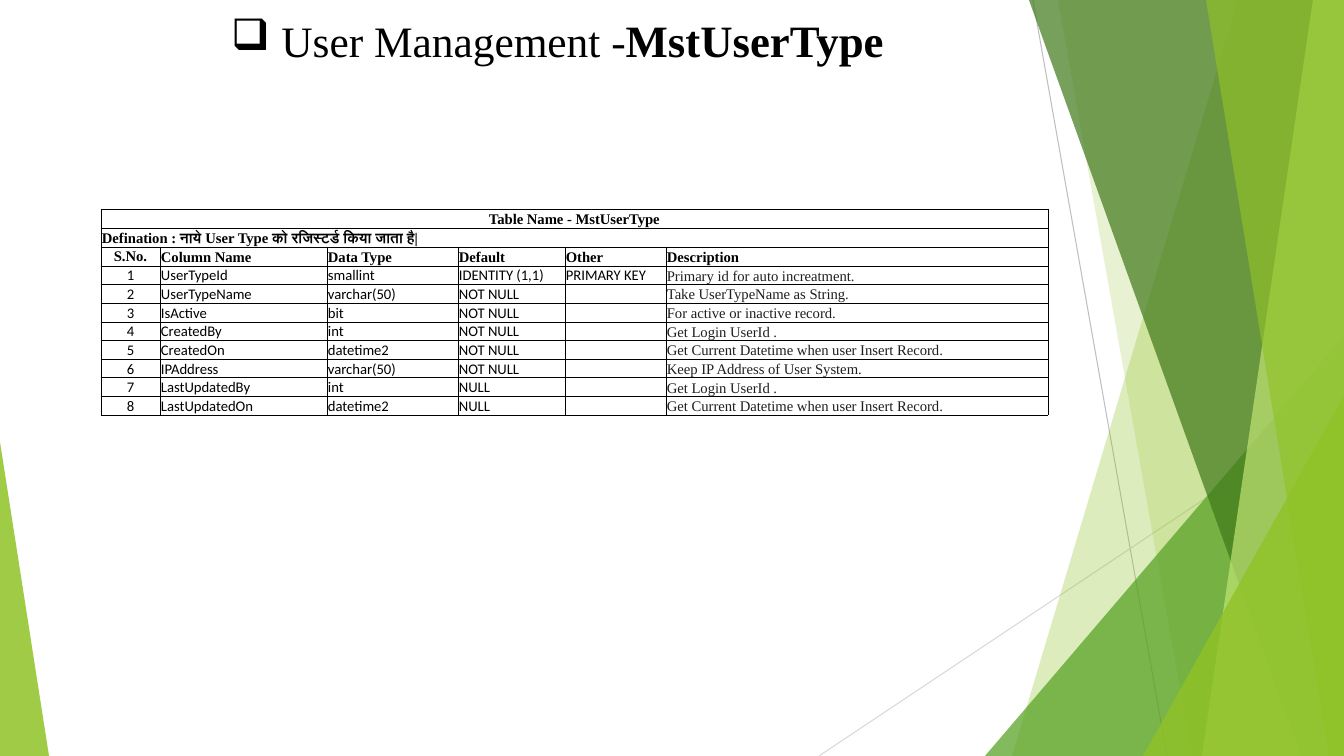
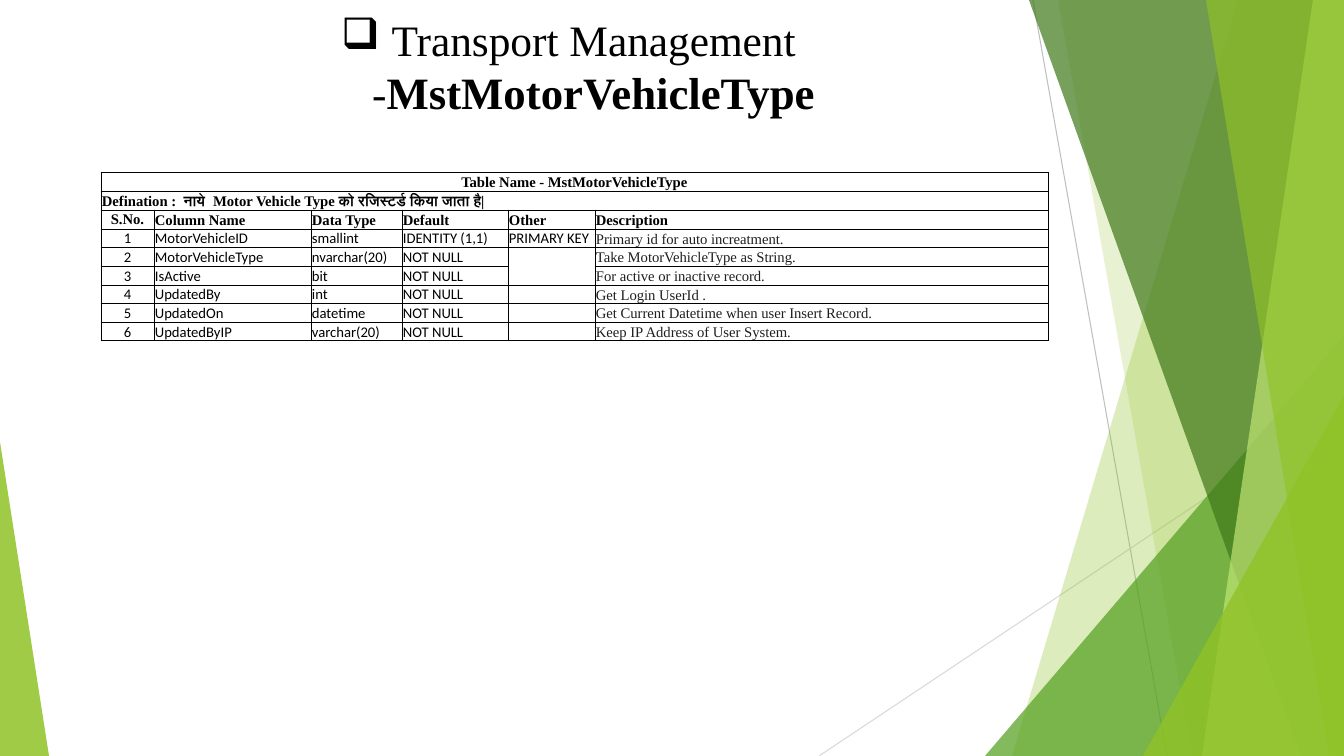
import lxml.etree
import pptx
import pptx.dml.color
import pptx.enum.shapes
import pptx.enum.text
import pptx.oxml.ns
import pptx.util

SLIDE_WIDTH, SLIDE_HEIGHT = 1344, 756
EMU_PER_PX = 12192000 / SLIDE_WIDTH
TITLE_ONLY = 5

BLACK, INK = "000000", "1F1F1F"
LIME, GREEN, FOREST, PALE = "90C226", "54A021", "3F7819", "C0E474"
SERIF, SANS = "Times New Roman", "Calibri"

ALIGN = pptx.enum.text.PP_ALIGN
ANCHOR = pptx.enum.text.MSO_ANCHOR
TITLE_FRAME = {
    "word_wrap": True,
    "vertical_anchor": ANCHOR.TOP,
    "auto_size": pptx.enum.text.MSO_AUTO_SIZE.SHAPE_TO_FIT_TEXT,
}
HEAD_FONT = {"name": SERIF, "size": pptx.util.Pt(10.5), "bold": True}
BODY_FONT = HEAD_FONT | {"name": SANS, "bold": False}
DESCRIPTION_FONT = HEAD_FONT | {"bold": False}

# Bands reaching the right edge: top left x, bottom left x, colour, opacity
BACK_BANDS = [(1238, 1012, LIME, 30), (1058, 1192, LIME, 20)]
FRONT_BANDS = [
    (1029, 1301, FOREST, 70),
    (1313, 1202, PALE, 70),
    (1206, 1329, LIME, 65),
]

HEADINGS = ["S.No.", "Column Name", "Data Type", "Default", "Other", "Description"]
ID_DESCRIPTION = "Primary id for auto increatment."
ACTIVE_DESCRIPTION = "For active or inactive record."
LOGIN_DESCRIPTION = "Get Login UserId ."
DATE_DESCRIPTION = "Get Current Datetime when user Insert Record."
IP_DESCRIPTION = "Keep IP Address of User System."

USER_TYPE = {
    "title": "User Management -",
    "name": "MstUserType",
    "title_size": (801, 64),
    "definition": "Defination : नाये User Type को रजिस्टर्ड किया जाता है|",
    "top": 209,
    "widths": [59, 167, 131, 107, 101, 382],
    "columns": [
        ("UserTypeId", "smallint", "IDENTITY (1,1)", "PRIMARY KEY", ID_DESCRIPTION),
        ("UserTypeName", "varchar(50)", "NOT NULL", "", "Take UserTypeName as String."),
        ("IsActive", "bit", "NOT NULL", "", ACTIVE_DESCRIPTION),
        ("CreatedBy", "int", "NOT NULL", "", LOGIN_DESCRIPTION),
        ("CreatedOn", "datetime2", "NOT NULL", "", DATE_DESCRIPTION),
        ("IPAddress", "varchar(50)", "NOT NULL", "", IP_DESCRIPTION),
        ("LastUpdatedBy", "int", "NULL", "", LOGIN_DESCRIPTION),
        ("LastUpdatedOn", "datetime2", "NULL", "", DATE_DESCRIPTION),
    ],
    "open_edges": {},
}
VEHICLE_TYPE = {
    "title": "Transport Management -",
    "name": "MstMotorVehicleType",
    "title_size": (823, 117),
    "definition": "Defination :  नाये  Motor Vehicle Type को रजिस्टर्ड किया जाता है|",
    "top": 172,
    "widths": [53, 157, 91, 106, 87, 453],
    "columns": [
        ("MotorVehicleID", "smallint", "IDENTITY (1,1)", "PRIMARY KEY", ID_DESCRIPTION),
        ("MotorVehicleType", "nvarchar(20)", "NOT NULL", "",
         "Take MotorVehicleType as String."),
        ("IsActive", "bit", "NOT NULL", "", ACTIVE_DESCRIPTION),
        ("UpdatedBy", "int", "NOT NULL", "", LOGIN_DESCRIPTION),
        ("UpdatedOn", "datetime", "NOT NULL", "", DATE_DESCRIPTION),
        ("UpdatedByIP", "varchar(20)", "NOT NULL", "", IP_DESCRIPTION),
    ],
    "open_edges": {(4, 4): "lnB", (5, 4): "lnT"},
}


def px(length):
    return pptx.util.Emu(round(length * EMU_PER_PX))


def rgb(color):
    return pptx.dml.color.RGBColor.from_string(color)


def apply(target, values):
    for name, value in values.items():
        setattr(target, name, value)


def add_element(parent, tag, **attributes):
    return lxml.etree.SubElement(parent, pptx.oxml.ns.qn(tag), attributes)


def add_run(paragraph, text, font, color=BLACK):
    run = paragraph.add_run()
    run.text = text
    apply(run.font, font)
    run.font.color.rgb = rgb(color)


def paint(shape, color, opacity):
    """Give a shape a see-through fill, without outline or shadow."""
    shape.shadow.inherit = False
    shape.line.fill.background()
    shape.fill.solid()
    shape.fill.fore_color.rgb = rgb(color)
    fill_color = shape.element.spPr.find(".//" + pptx.oxml.ns.qn("a:srgbClr"))
    add_element(fill_color, "a:alpha", val=str(opacity * 1000))
    return shape


def add_line(slide, start, end, color):
    line = slide.shapes.add_connector(
        pptx.enum.shapes.MSO_CONNECTOR.STRAIGHT, *map(px, start + end))
    line.line.color.rgb = rgb(color)
    line.line.width = pptx.util.Pt(0.75)
    add_element(line.element.spPr, "a:effectLst")
    return line


def add_band(slide, top_x, bottom_x, color, opacity):
    builder = slide.shapes.build_freeform(px(top_x), 0)
    corners = [(SLIDE_WIDTH, 0), (SLIDE_WIDTH, SLIDE_HEIGHT), (bottom_x, SLIDE_HEIGHT)]
    builder.add_line_segments([(px(x), px(y)) for x, y in corners], close=True)
    return paint(builder.convert_to_shape(), color, opacity)


def add_corner(slide, left, top, width, apex, color, opacity):
    """Add a triangle that stands on the bottom edge of the slide."""
    triangle = slide.shapes.add_shape(
        pptx.enum.shapes.MSO_SHAPE.ISOSCELES_TRIANGLE,
        *map(px, (left, top, width, SLIDE_HEIGHT - top)))
    triangle.adjustments[0] = apex
    return paint(triangle, color, opacity)


def decorate_layout(layout, slide):
    """Draw the shared decoration on a slide and move it to its layout."""
    decoration = [
        add_line(slide, (1033, 0), (1167, SLIDE_HEIGHT), "BFBFBF"),
        add_line(slide, (SLIDE_WIDTH, 406), (819, SLIDE_HEIGHT), "D9D9D9"),
        *[add_band(slide, *band) for band in BACK_BANDS],
        add_corner(slide, 985, 336, 359, 1, GREEN, 72),
        *[add_band(slide, *band) for band in FRONT_BANDS],
        add_corner(slide, 1143, 396, 201, 1, LIME, 80),
        add_corner(slide, 0, 442, 49, 0, LIME, 85),
    ]
    for shape in decoration:
        layout.shapes.element.append(shape.element)


def set_title(slide, text, name, size):
    title = slide.shapes.title
    width, height = size
    apply(title, {"left": px(157), "top": px(8), "width": px(width), "height": px(height)})
    apply(title.text_frame, TITLE_FRAME)
    paragraph = title.text_frame.paragraphs[0]
    paragraph.alignment = ALIGN.CENTER
    properties = paragraph._p.get_or_add_pPr()
    indent = pptx.util.Inches(0.5)
    properties.set("marL", str(indent))
    properties.set("indent", str(-indent))
    add_element(properties, "a:buChar", char="❑")
    add_run(paragraph, text, {"name": SERIF, "size": pptx.util.Pt(31), "bold": False})
    add_run(paragraph, name, {"name": SERIF, "size": pptx.util.Pt(32), "bold": True})


def set_borders(cell, open_edge):
    properties = cell._tc.get_or_add_tcPr()
    for edge in ("lnL", "lnR", "lnT", "lnB"):
        line = add_element(properties, "a:" + edge, w=str(pptx.util.Pt(0.5)))
        if edge == open_edge:
            add_element(line, "a:noFill")
        else:
            add_element(add_element(line, "a:solidFill"), "a:srgbClr", val=BLACK)


def fill_cell(cell, text, font, color, centered, anchor, open_edge):
    set_borders(cell, open_edge)
    cell.fill.background()
    apply(cell, {
        "margin_left": px(1), "margin_right": px(1), "margin_top": px(1),
        "margin_bottom": 0, "vertical_anchor": anchor,
    })
    paragraph = cell.text_frame.paragraphs[0]
    paragraph.alignment = ALIGN.CENTER if centered else ALIGN.LEFT
    if text:
        add_run(paragraph, text, font, color)
    else:
        add_element(paragraph._p, "a:endParaRPr", sz=str(font["size"].centipoints))


def add_definition_table(slide, content):
    last = len(HEADINGS) - 1
    blanks = [""] * last
    rows = [
        ["Table Name - " + content["name"], *blanks],
        [content["definition"], *blanks],
        HEADINGS,
        *[[str(number), *column] for number, column in enumerate(content["columns"], 1)],
    ]
    heights = [19] * 3 + [18] * len(content["columns"])
    frame = slide.shapes.add_table(
        len(rows), len(HEADINGS), px(101), px(content["top"]),
        px(sum(content["widths"])), px(sum(heights)))
    table = frame.table
    apply(table, {"first_row": False, "horz_banding": False})
    for column, width in zip(table.columns, content["widths"]):
        column.width = px(width)
    for row, height in zip(table.rows, heights):
        row.height = px(height)
    for row in range(2):
        table.cell(row, 0).merge(table.cell(row, last))

    for row, texts in enumerate(rows):
        for column, text in enumerate(texts):
            font, color = BODY_FONT, BLACK
            if row < 3:
                font = HEAD_FONT
            elif column == last:
                font, color = DESCRIPTION_FONT, INK
            numbered = row > 1 and column == 0
            fill_cell(
                table.cell(row, column), text, font, color,
                centered=row == 0 or numbered,
                anchor=ANCHOR.MIDDLE if numbered else ANCHOR.BOTTOM,
                open_edge=content["open_edges"].get((row, column)))


def main():
    presentation = pptx.Presentation()
    apply(presentation, {"slide_width": px(SLIDE_WIDTH), "slide_height": px(SLIDE_HEIGHT)})
    layout = presentation.slide_layouts[TITLE_ONLY]
    for content in (USER_TYPE, VEHICLE_TYPE):
        slide = presentation.slides.add_slide(layout)
        set_title(slide, content["title"], content["name"], content["title_size"])
        add_definition_table(slide, content)
    decorate_layout(layout, slide)
    presentation.save("out.pptx")


if __name__ == "__main__":
    main()
